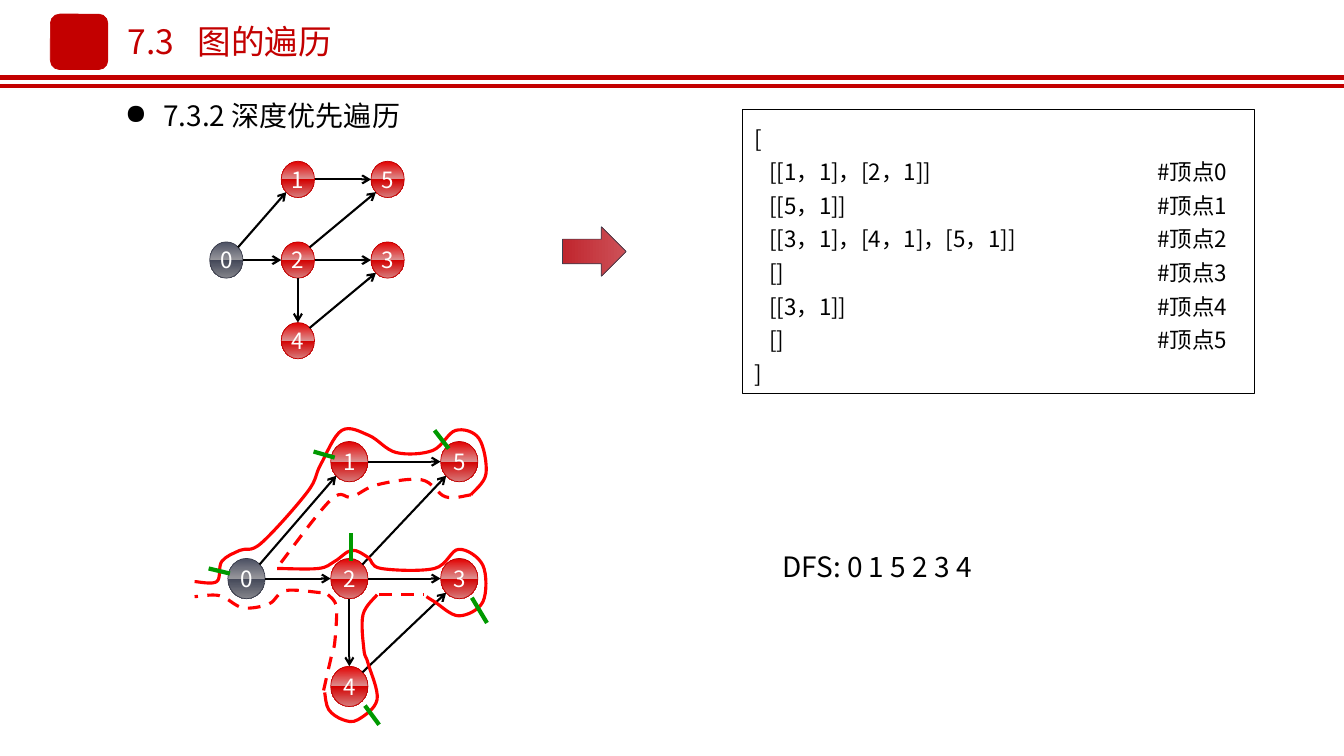
from dataclasses import dataclass

from lxml.etree import SubElement
from pptx import Presentation
from pptx.dml.color import RGBColor
from pptx.enum.dml import MSO_LINE
from pptx.enum.shapes import MSO_CONNECTOR, MSO_SHAPE
from pptx.enum.text import MSO_ANCHOR, PP_ALIGN
from pptx.oxml.ns import qn
from pptx.oxml.xmlchemy import OxmlElement
from pptx.util import Inches, Pt


@dataclass(frozen=True)
class Theme:
    font: str = "Noto Sans CJK SC"
    title_size: int = 24
    body_size: int = 20
    small_size: int = 16
    red: str = "C30000"
    slate: str = "3B3E4D"
    black: str = "000000"
    white: str = "FFFFFF"
    route: str = "FF0000"
    tick: str = "009900"
    red_gloss: tuple = ((0, "E59D9D"), (0, "E20000"), (50, "DC9090"),
                        (50, "D30000"), (100, "D77C7C"), (100, "D30000"))
    slate_gloss: tuple = ((0, "A3A4A8"), (0, "4B4F62"), (50, "97979C"),
                          (50, "434758"), (100, "84858B"), (100, "434758"))
    arrow_gloss: tuple = ((0, "C0262E"), (100, "CD5158"))


THEME = Theme()

# Graph: grid cell (column, row) of each vertex, and the directed edges
VERTICES = {0: (0, 1), 1: (1, 0), 2: (1, 1), 3: (2, 1), 4: (1, 2), 5: (2, 0)}
EDGES = [(0, 1), (0, 2), (1, 5), (2, 5), (2, 4), (2, 3), (4, 3)]

# Depth-first route: (dashed, points the curve passes through)
ROUTE = [
    (False, [(1.93, 5.77), (2.15, 5.77), (2.2, 5.57), (2.38, 5.46), (2.59, 5.39),
             (3.05, 4.88), (3.18, 4.61), (3.39, 4.27), (3.66, 4.32), (3.93, 4.49),
             (4.29, 4.47), (4.52, 4.27), (4.75, 4.35), (4.82, 4.7), (4.67, 4.91)]),
    (True, [(4.67, 4.91), (4.42, 4.93), (4.18, 4.76), (3.74, 4.81), (3.49, 4.93),
            (3.28, 4.96), (2.75, 5.63)]),
    (True, [(3.18, 5.88), (2.83, 5.86), (2.67, 5.99), (2.41, 6.03), (2.18, 5.91),
            (1.93, 5.92)]),
    (False, [(2.75, 5.64), (3.16, 5.64), (3.32, 5.57), (3.49, 5.46), (3.65, 5.53),
             (3.78, 5.64), (4.31, 5.64), (4.55, 5.45), (4.79, 5.61), (4.79, 5.97),
             (4.55, 6.11), (4.31, 5.97), (4.23, 5.92)]),
    (False, [(3.74, 5.9), (3.6, 6.1), (3.61, 6.45), (3.65, 6.58), (3.74, 6.94),
             (3.55, 7.14), (3.4, 7.14), (3.26, 7.04), (3.22, 6.87)]),
    (True, [(3.21, 6.85), (3.29, 6.5), (3.32, 6.38), (3.34, 6.08), (3.32, 5.97),
            (3.23, 5.88)]),
]
VISIT_TICKS = [((2.28, 5.69), (2.07, 5.64)), ((3.32, 4.54), (3.11, 4.48)),
               ((4.45, 4.45), (4.31, 4.27)), ((4.83, 6.18), (4.68, 5.93)),
               ((3.48, 5.29), (3.48, 5.57)), ((3.76, 7.19), (3.62, 7))]

ADJACENCY = ["[[1，1]，[2，1]]", "[[5，1]]", "[[3，1]，[4，1]，[5，1]]",
             "[]", "[[3，1]]", "[]"]


def rgb(color):
    return RGBColor.from_string(color)


def style_line(line, color, width, dashed=False):
    line.color.rgb = rgb(color)
    line.width = Pt(width)
    if dashed:
        line.dash_style = MSO_LINE.DASH


def format_text(paragraph, size, color):
    for run in paragraph.runs:
        run.font.size = Pt(size)
        run.font.name = THEME.font
        run.font.color.rgb = rgb(color)
        SubElement(run.font._element, qn("a:ea"), typeface=THEME.font)


def add_tab_stop(paragraph, position):
    tabs = SubElement(paragraph._p.get_or_add_pPr(), qn("a:tabLst"))
    SubElement(tabs, qn("a:tab"), pos=str(Inches(position)), algn="l")


def add_bullet(paragraph, indent):
    properties = paragraph._p.get_or_add_pPr()
    properties.set("marL", str(Inches(indent)))
    properties.set("indent", str(-Inches(indent)))
    SubElement(properties, qn("a:buChar"), char="●")


def add_shape(slide, kind, box, line_color, line_width=0.5):
    shape = slide.shapes.add_shape(kind, *map(Inches, box))
    shape.shadow.inherit = False
    style_line(shape.line, line_color, line_width)
    return shape


def fill_gradient(shape, stops, angle):
    shape.fill.gradient()
    shape.fill.gradient_angle = angle
    stop_list = next(shape.element.iter(qn("a:gsLst")))
    stop_list[:] = []
    for percent, color in stops:
        stop = SubElement(stop_list, qn("a:gs"), pos=str(percent * 1000))
        SubElement(stop, qn("a:srgbClr"), val=color)


def add_line(slide, start, end, color, width, dashed=False, arrow=False):
    connector = slide.shapes.add_connector(
        MSO_CONNECTOR.STRAIGHT, *map(Inches, (*start, *end)))
    style_line(connector.line, color, width, dashed)
    if arrow:
        SubElement(connector.line._get_or_add_ln(), qn("a:tailEnd"), type="arrow")
    SubElement(connector.element.spPr, qn("a:effectLst"))


def add_curve(slide, points, dashed):
    """Freeform whose tangent at each point follows its two neighbours."""
    first, *rest = [(Inches(x), Inches(y)) for x, y in points]
    builder = slide.shapes.build_freeform(*first)
    builder.add_line_segments(rest, close=False)
    shape = builder.convert_to_shape()
    shape.shadow.inherit = False
    shape.fill.background()
    style_line(shape.line, THEME.route, 2.25, dashed)
    local = [(int(point.get("x")), int(point.get("y")))
             for point in shape.element.iter(qn("a:pt"))]
    padded = [local[0], *local, local[-1]]
    segments = list(shape.element.iter(qn("a:lnTo")))
    for segment, before, start, end, after in zip(
            segments, padded, padded[1:], padded[2:], padded[3:]):
        leaving = [s + (e - b) / 6 for b, s, e in zip(before, start, end)]
        arriving = [e - (a - s) / 6 for s, e, a in zip(start, end, after)]
        bezier = OxmlElement("a:cubicBezTo")
        for x, y in (leaving, arriving, end):
            SubElement(bezier, qn("a:pt"), x=str(round(x)), y=str(round(y)))
        segment.getparent().replace(segment, bezier)


def add_vertex(slide, label, box):
    gloss, outline = ((THEME.slate_gloss, THEME.slate) if label == 0
                      else (THEME.red_gloss, THEME.red))
    vertex = add_shape(slide, MSO_SHAPE.OVAL, box, outline)
    fill_gradient(vertex, gloss, 270)
    frame = vertex.text_frame
    frame.margin_left = frame.margin_right = frame.margin_top = frame.margin_bottom = 0
    frame.text = str(label)
    frame.paragraphs[0].alignment = PP_ALIGN.CENTER
    format_text(frame.paragraphs[0], THEME.small_size, THEME.white)


def add_graph(slide, lefts, tops, width, height):
    for label, (column, row) in VERTICES.items():
        add_vertex(slide, label, (lefts[column], tops[row], width, height))

    def rim(label, across, down):
        column, row = VERTICES[label]
        reach = 0.35 if across and down else 0.5
        return (lefts[column] + width * (0.5 + reach * across),
                tops[row] + height * (0.5 + reach * down))

    for source, target in EDGES:
        across, down = ((b > a) - (b < a)
                        for a, b in zip(VERTICES[source], VERTICES[target]))
        add_line(slide, rim(source, across, down), rim(target, -across, -down),
                 THEME.black, 1.5, arrow=True)


def add_text(slide, box, text, size, color):
    frame = slide.shapes.add_textbox(*map(Inches, box)).text_frame
    frame.word_wrap = True
    frame.text = text
    format_text(frame.paragraphs[0], size, color)
    return frame


def add_adjacency_list(slide):
    box = add_shape(slide, MSO_SHAPE.RECTANGLE, (7.36, 1.09, 5.08, 2.81), THEME.black, 0.75)
    box.fill.solid()
    box.fill.fore_color.rgb = rgb(THEME.white)
    frame = box.text_frame
    frame.vertical_anchor = MSO_ANCHOR.TOP
    frame.margin_left, frame.margin_right = Inches(0.12), 0
    frame.margin_top = frame.margin_bottom = Inches(0.08)
    rows = [f"   {row}\t#顶点{vertex}" for vertex, row in enumerate(ADJACENCY)]
    frame.text = "\n".join(["[", *rows, "]"])
    for paragraph in frame.paragraphs:
        add_tab_stop(paragraph, 4)
        paragraph.alignment = PP_ALIGN.JUSTIFY
        paragraph.line_spacing = Pt(24)
        format_text(paragraph, THEME.small_size, THEME.black)


def main():
    presentation = Presentation()
    presentation.slide_width, presentation.slide_height = Inches(13.33), Inches(7.5)
    slide = presentation.slides.add_slide(presentation.slide_layouts[6])

    # Header
    for y in (0.77, 0.85):
        add_line(slide, (0, y), (13.33, y), THEME.red, 3)
    badge = add_shape(slide, MSO_SHAPE.ROUNDED_RECTANGLE, (0.5, 0.14, 0.57, 0.55), THEME.red)
    badge.fill.solid()
    badge.fill.fore_color.rgb = rgb(THEME.red)
    title = add_text(slide, (1.17, 0.16, 2.6, 0.5), "7.3\t图的遍历", THEME.title_size, THEME.red)
    title.vertical_anchor = MSO_ANCHOR.MIDDLE
    add_tab_stop(title.paragraphs[0], 0.69)
    heading = add_text(slide, (1.14, 0.93, 5.3, 0.44), "7.3.2 深度优先遍历",
                       THEME.body_size, THEME.black)
    add_bullet(heading.paragraphs[0], 0.38)

    # Graph and its adjacency list
    add_graph(slide, (2.08, 2.79, 3.68), (1.6, 2.4, 3.2), 0.33, 0.36)
    arrow = add_shape(slide, MSO_SHAPE.RIGHT_ARROW, (5.58, 2.25, 0.63, 0.49), THEME.slate)
    fill_gradient(arrow, THEME.arrow_gloss, 0)
    add_adjacency_list(slide)

    # Depth-first traversal
    add_graph(slide, (2.26, 3.28, 4.37), (4.38, 5.54, 6.61), 0.37, 0.4)
    for dashed, points in ROUTE:
        add_curve(slide, points, dashed)
    add_line(slide, (3.76, 5.9), (4.2, 5.9), THEME.route, 2.25, dashed=True)
    for start, end in VISIT_TICKS:
        add_line(slide, start, end, THEME.tick, 3)
    add_text(slide, (7.66, 5.4, 3.05, 0.44), "DFS: 0 1 5 2 3 4", THEME.body_size, THEME.black)

    presentation.save("out.pptx")


if __name__ == "__main__":
    main()
